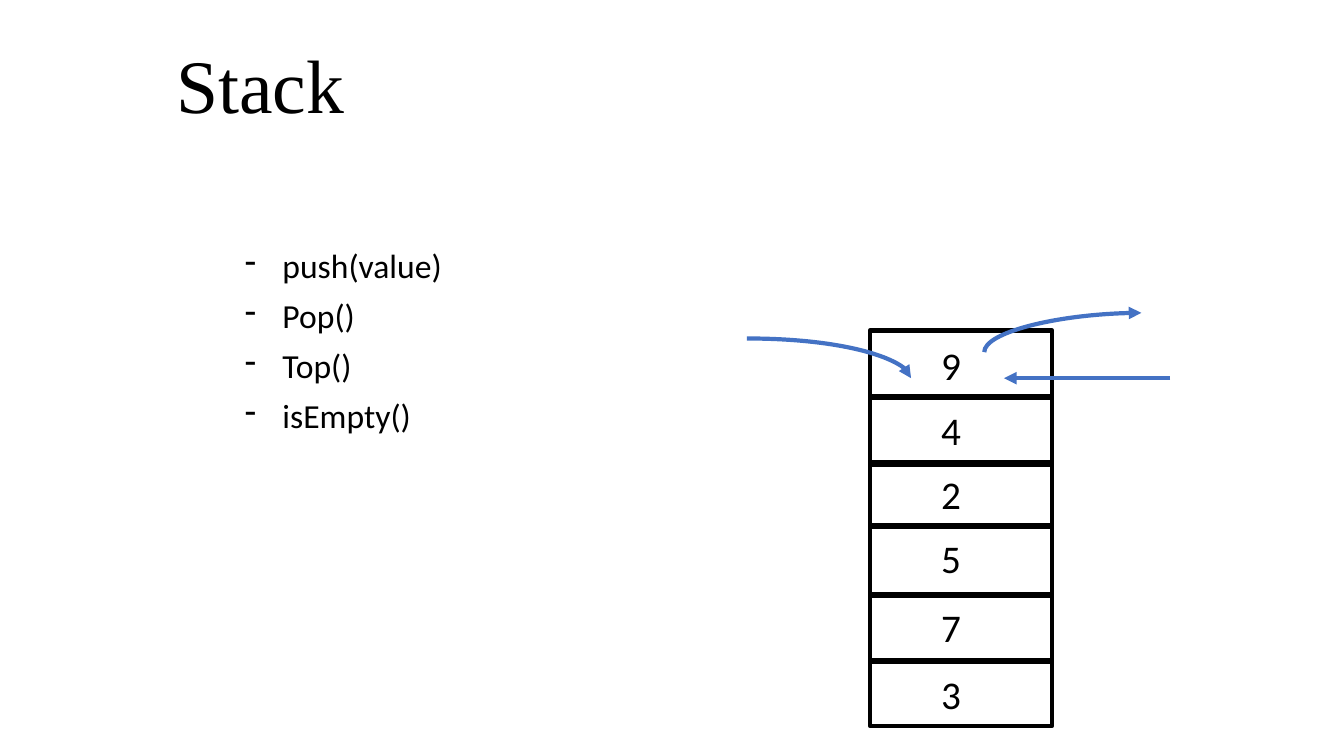
from lxml import etree
from pptx import Presentation
from pptx import util as u
from pptx.dml.color import RGBColor
from pptx.enum import shapes, text
from pptx.oxml.ns import qn

COLORS = {"ink": "000000", "paper": "FFFFFF", "arrow": "4472C4"}

STACK_LEFT, STACK_RIGHT, STACK_BOTTOM = 21.92, 26.52, 18.29
# value, top of its cell, top of its label (cm)
CELLS = [
    ("9", 8.33, 8.61),
    ("4", 10.01, 10.24),
    ("2", 11.68, 11.86),
    ("5", 13.26, 13.46),
    ("7", 14.99, 15.21),
    ("3", 16.66, 16.89),
]
OPERATIONS = ["push(value)", "Pop()", "Top()", "isEmpty()"]


def rgb(name):
    return RGBColor.from_string(COLORS[name])


def add_dash(p, indent):
    """Give a paragraph a hanging dash bullet, indent in cm."""
    pPr = p._p.get_or_add_pPr()
    pPr.set("marL", str(u.Cm(indent)))
    pPr.set("indent", str(-u.Cm(indent)))
    etree.SubElement(pPr, qn("a:buChar")).set("char", "-")


def add_text(slide, lines, x, y, w, h, size, font="Calibri", align=text.PP_ALIGN.LEFT,
             anchor=text.MSO_ANCHOR.TOP, spacing=None, before=0, dash=None, inset=None):
    tf = slide.shapes.add_textbox(u.Cm(x), u.Cm(y), u.Cm(w), u.Cm(h)).text_frame
    tf.word_wrap = True
    tf.vertical_anchor = anchor
    if inset is not None:
        tf.margin_left = tf.margin_right = tf.margin_top = tf.margin_bottom = u.Cm(inset)
    for i, line in enumerate(lines):
        p = tf.add_paragraph() if i else tf.paragraphs[0]
        if dash:
            add_dash(p, dash)
        p.alignment = align
        if spacing:
            p.line_spacing = spacing
        if i and before:
            p.space_before = u.Pt(before)
        r = p.add_run()
        r.text = line
        r.font.name = font
        r.font.size = u.Pt(size)
        r.font.color.rgb = rgb("ink")


def add_line(slide, x1, y1, x2, y2, color, width, arrow=False, curved=False, turn=0):
    """Draw a connector; a curved one is a quarter bend, turned clockwise by degrees."""
    kind = shapes.MSO_CONNECTOR.CURVE if curved else shapes.MSO_CONNECTOR.STRAIGHT
    c = slide.shapes.add_connector(kind, u.Cm(x1), u.Cm(y1), u.Cm(x2), u.Cm(y2))
    c.line.color.rgb = rgb(color)
    c.line.width = u.Pt(width)
    spPr = c._element.spPr
    if curved:
        spPr.find(qn("a:prstGeom")).set("prst", "curvedConnector2")
    if turn:
        spPr.find(qn("a:xfrm")).set("rot", str(turn * 60000))
    if arrow:
        etree.SubElement(spPr.find(qn("a:ln")), qn("a:tailEnd")).set("type", "triangle")
    etree.SubElement(spPr, qn("a:effectLst"))


def add_stack(slide):
    top = CELLS[0][1]
    sp = slide.shapes.add_shape(
        shapes.MSO_SHAPE.RECTANGLE, u.Cm(STACK_LEFT), u.Cm(top),
        u.Cm(STACK_RIGHT - STACK_LEFT), u.Cm(STACK_BOTTOM - top))
    sp.shadow.inherit = False
    sp.fill.solid()
    sp.fill.fore_color.rgb = rgb("paper")
    sp.line.color.rgb = rgb("ink")
    sp.line.width = u.Pt(3)
    for _, y, _ in CELLS[1:]:
        add_line(slide, STACK_LEFT, y, STACK_RIGHT, y, "ink", 4.5)
    for value, _, y in CELLS:
        add_text(slide, [value], 23.72, y, 0.97, 1.19, 28, inset=0)


def main():
    prs = Presentation()
    prs.slide_width, prs.slide_height = u.Cm(33.87), u.Cm(19.05)
    slide = prs.slides.add_slide(prs.slide_layouts[6])

    add_text(slide, ["Stack"], 0.58, 0.91, 11.96, 2.49, 54, font="Times New Roman",
             align=text.PP_ALIGN.CENTER, anchor=text.MSO_ANCHOR.BOTTOM, spacing=0.9)
    add_text(slide, OPERATIONS, 5.92, 6.15, 14.88, 7.32, 24,
             spacing=0.9, before=10, dash=0.95)
    add_stack(slide)

    # push, pop and top
    add_line(slide, 18.82, 8.53, 22.96, 9.53, "arrow", 3, arrow=True, curved=True)
    add_line(slide, 27.28, 10.36, 26.29, 6.4, "arrow", 3, arrow=True, curved=True, turn=90)
    add_line(slide, 29.49, 9.53, 25.3, 9.53, "arrow", 3, arrow=True)

    prs.save("out.pptx")


if __name__ == "__main__":
    main()
